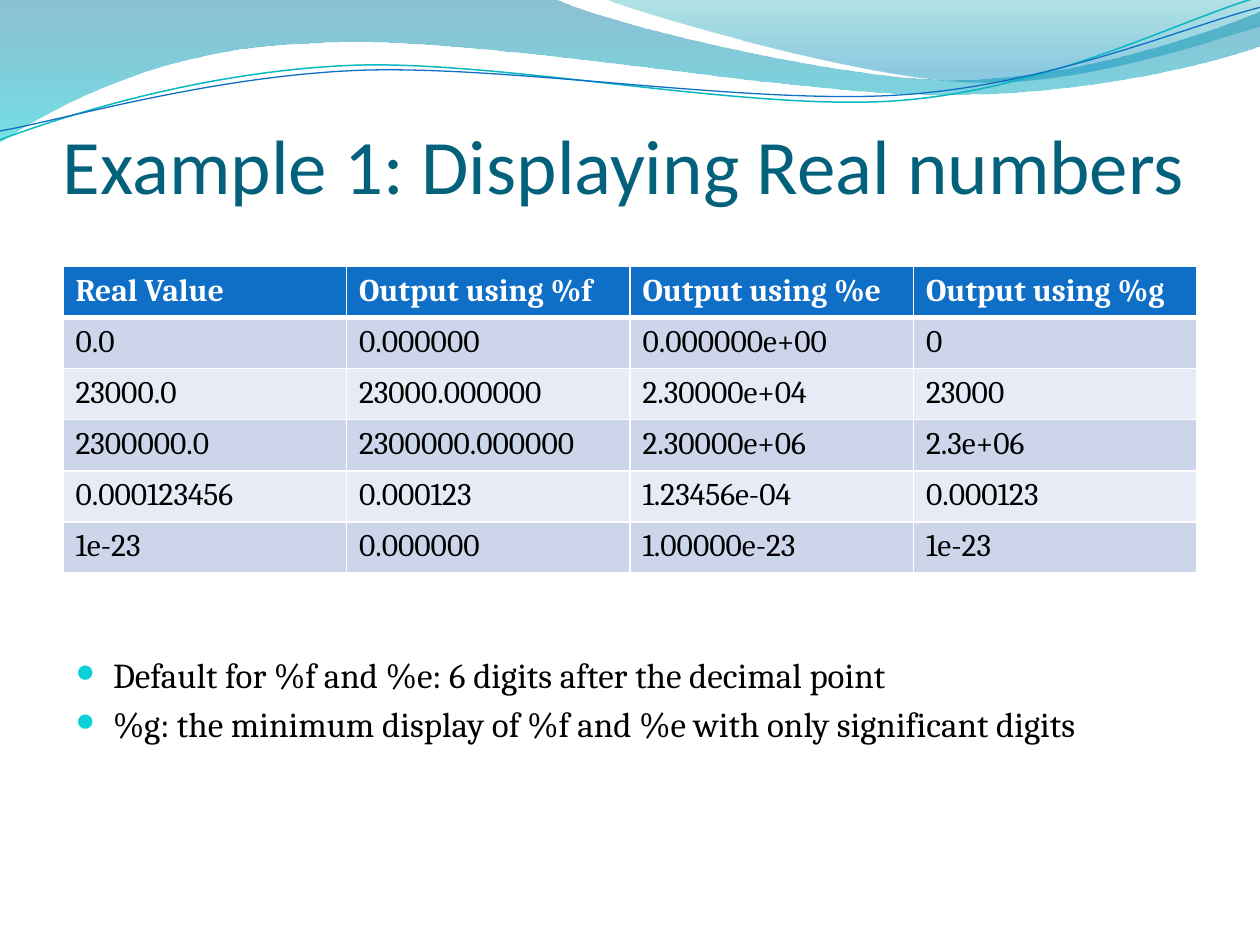
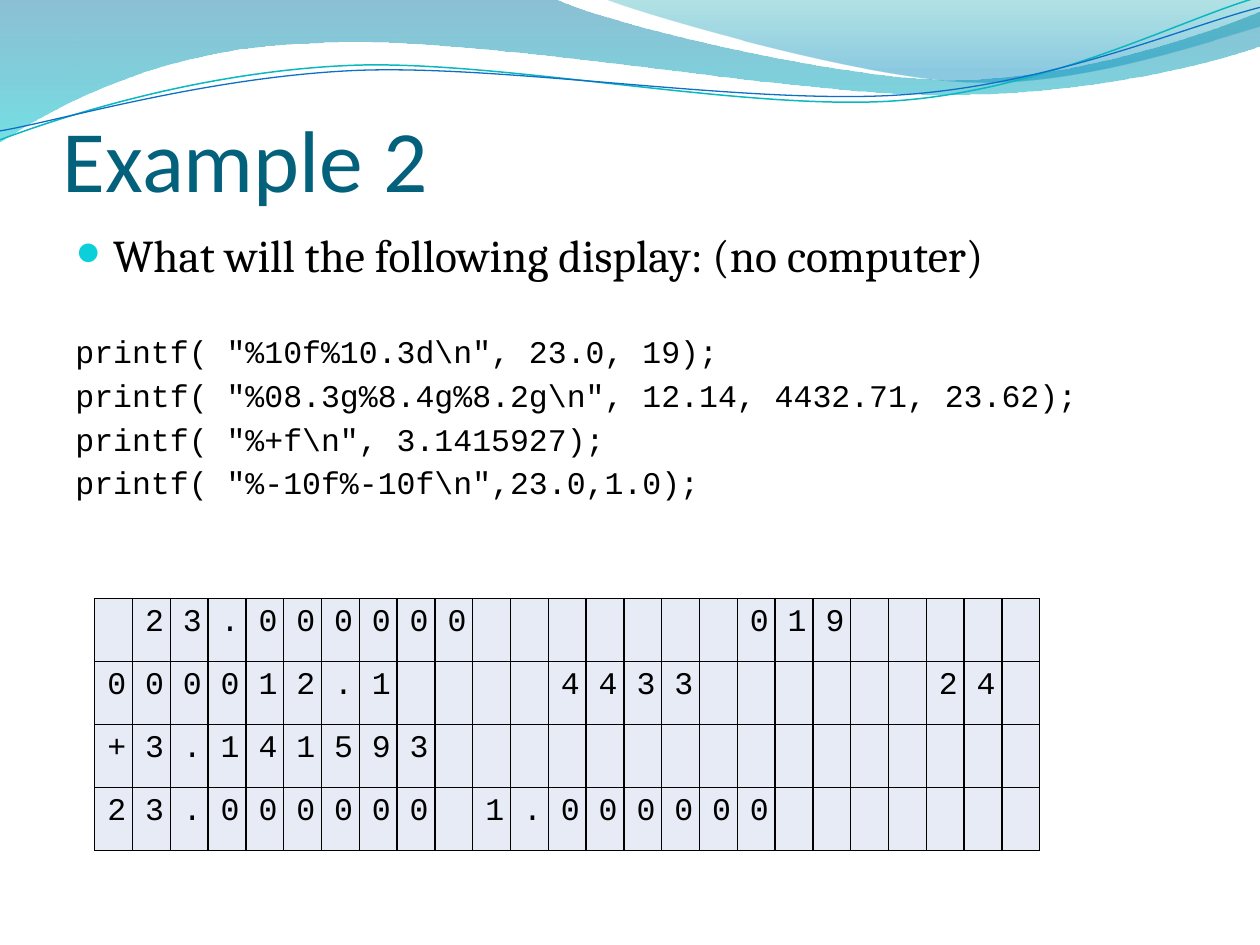
import pptx
import pptx.dml.color
import pptx.enum.text
import pptx.oxml
import pptx.oxml.ns
import pptx.util
from lxml import etree

Cm, Pt = pptx.util.Cm, pptx.util.Pt
RGBColor = pptx.dml.color.RGBColor
qn = pptx.oxml.ns.qn

WHITE = RGBColor(0xFF, 0xFF, 0xFF)
BLACK = RGBColor(0, 0, 0)
TITLE_TEAL = RGBColor(0x04, 0x61, 0x7B)
BLUE = RGBColor(0x0F, 0x6F, 0xC6)
BULLET_CYAN = RGBColor(0x0B, 0xD0, 0xD9)
LINE_TEAL = RGBColor(0x0A, 0xB8, 0xBF)
BAND_DARK = RGBColor(0xCC, 0xD5, 0xEA)
BAND_LIGHT = RGBColor(0xE7, 0xEB, 0xF5)
HEADING, BODY, CODE = "Calibri", "Cambria", "Courier New"

# ---- Content ----
REAL_TITLE = "Example 1: Displaying Real numbers"
REAL_OUTPUT = [
    ("Real Value", "Output using %f", "Output using %e", "Output using %g"),
    ("0.0", "0.000000", "0.000000e+00", "0"),
    ("23000.0", "23000.000000", "2.30000e+04", "23000"),
    ("2300000.0", "2300000.000000", "2.30000e+06", "2.3e+06"),
    ("0.000123456", "0.000123", "1.23456e-04", "0.000123"),
    ("1e-23", "0.000000", "1.00000e-23", "1e-23"),
]
REAL_NOTES = [
    "Default for %f and %e: 6 digits after the decimal point",
    "%g: the minimum display of %f and %e with only significant digits",
]

QUIZ_TITLE = "Example 2"
QUIZ_QUESTION = "What will the following display: (no computer)"
QUIZ_CODE = [
    r'printf( "%10f%10.3d\n", 23.0, 19);',
    r'printf( "%08.3g%8.4g%8.2g\n", 12.14, 4432.71, 23.62);',
    r'printf( "%+f\n", 3.1415927);',
    r'printf( "%-10f%-10f\n",23.0,1.0);',
]
# Each printed line: the first column of each number, and the number.
QUIZ_OUTPUT = [
    {1: "23.000000", 17: "019"},
    {0: "000012.1", 12: "4433", 22: "24"},
    {0: "+3.141593"},
    {0: "23.000000", 10: "1.000000"},
]
QUIZ_COLUMNS = 25

# Outlines in cm: a pair is a corner, six numbers are a Bézier curve.
WAVES = [
    ([(0, 0), (11.18, -0.03), (12.09, 0.43, 16.87, 1.6, 19.25, 1.6),
      (21.67, 1.6, 24.33, 0.66, 25.4, 0.23), (25.43, 0.91),
      (24.97, 1.12, 22.1, 1.93, 18.95, 1.91),
      (15.8, 1.91, 9.7, 0.71, 6.53, 0.86),
      (3.28, 0.91, 1.17, 2.11, -0.03, 2.87), (0, 0)],
     [(0, RGBColor(0x00, 0x74, 0xA1), 45), (1, RGBColor(0x00, 0xC6, 0xCF), 55)]),
    ([(12.17, -0.03), (12.93, 0.28, 17.32, 1.57, 19.53, 1.65),
      (21.74, 1.75, 24.41, 0.81, 25.4, 0.53), (25.4, 0), (12.17, -0.03)],
     [(0, RGBColor(0x00, 0xA1, 0xA9), 30), (0.8, RGBColor(0x00, 0x8B, 0xBF), 45)]),
]
STRANDS = [
    ([(0, 2.82), (1.22, 2.36, 4.01, 1.45, 7.04, 1.32),
      (10.03, 1.19, 15.06, 2.26, 18.11, 2.03),
      (21.16, 1.8, 23.83, 0.38, 25.35, -0.05)], LINE_TEAL, 0.85),
    ([(0, 2.64), (1.19, 2.44, 4.17, 1.55, 7.19, 1.42),
      (10.24, 1.3, 15.16, 2.13, 18.21, 1.91),
      (21.23, 1.7, 23.9, 0.53, 25.4, 0.15)], BLUE, 0.75),
]


def add_outline(slide, outline, close):
    """Draw straight segments through all points, then bend those of each curve."""
    start, *points = [(Cm(part[i]), Cm(part[i + 1]))
                      for part in outline for i in range(0, len(part), 2)]
    builder = slide.shapes.build_freeform(*start)
    builder.add_line_segments(points, close=close)
    shape = builder.convert_to_shape()
    shape.shadow.inherit = False
    segments = iter(list(shape._element.iter(qn("a:lnTo"))))
    for part in outline[1:]:
        segment = next(segments)
        if len(part) == 6:
            segment.addprevious(etree.Element(qn("a:cubicBezTo")))
            curve = segment.getprevious()
            for straight in (segment, next(segments), next(segments)):
                curve.append(straight[0])
                straight.getparent().remove(straight)
    return shape


def add_header_waves(slide):
    for outline, stops in WAVES:
        wave = add_outline(slide, outline, True)
        wave.line.fill.background()
        wave.fill.gradient()
        wave.fill.gradient_angle = 270
        for stop, (position, color, _) in zip(wave.fill.gradient_stops, stops):
            stop.position = position
            stop.color.rgb = color
        gradient = wave._element.spPr.find(qn("a:gradFill"))
        for srgb, (_, _, opacity) in zip(gradient.iter(qn("a:srgbClr")), stops):
            etree.SubElement(srgb, qn("a:alpha"), val=str(opacity * 1000))
    for outline, color, width in STRANDS:
        strand = add_outline(slide, outline, False)
        strand.fill.background()
        strand.line.color.rgb = color
        strand.line.width = Pt(width)


def style(paragraph, font_name, size, color=BLACK, bold=False):
    for run in paragraph.runs:
        run.font.name = font_name
        run.font.size = Pt(size)
        run.font.color.rgb = color
        run.font.bold = bold


def add_text_box(slide, left, top, width, height):
    frame = slide.shapes.add_textbox(Cm(left), Cm(top), Cm(width), Cm(height)).text_frame
    frame.word_wrap = True
    return frame


def add_slide(deck, title, title_size):
    slide = deck.slides.add_slide(deck.slide_layouts[6])
    add_header_waves(slide)
    frame = add_text_box(slide, 1.27, 1.05, 22.86, 3.18)
    frame.margin_left = frame.margin_right = frame.margin_bottom = 0
    frame.vertical_anchor = pptx.enum.text.MSO_ANCHOR.BOTTOM
    frame.text = title
    style(frame.paragraphs[0], HEADING, title_size, TITLE_TEAL)
    return slide


def add_bullet(paragraph):
    properties = paragraph._p.get_or_add_pPr()
    properties.set("marL", str(Cm(0.76)))
    properties.set("indent", str(-Cm(0.76)))
    color = etree.SubElement(properties, qn("a:buClr"))
    etree.SubElement(color, qn("a:srgbClr"), val=str(BULLET_CYAN))
    etree.SubElement(properties, qn("a:buSzPct"), val="95000")
    etree.SubElement(properties, qn("a:buFont"), typeface=CODE)
    etree.SubElement(properties, qn("a:buChar"), char="●")


def set_borders(cell, color, top=1, bottom=1):
    properties = cell._tc.get_or_add_tcPr()
    for side, width in (("L", 1), ("R", 1), ("T", top), ("B", bottom)):
        line = etree.SubElement(properties, qn("a:ln" + side), w=str(Pt(width)))
        fill = etree.SubElement(line, qn("a:solidFill"))
        etree.SubElement(fill, qn("a:srgbClr"), val=str(color))


def add_grid(slide, rows, columns, left, top, width, height):
    table = slide.shapes.add_table(rows, columns, Cm(left), Cm(top),
                                   Cm(width), Cm(height)).table
    table.first_row = table.horz_banding = False
    return table


def fill_cell(cell, text, color):
    cell.fill.solid()
    cell.fill.fore_color.rgb = color
    if text:
        cell.text = text
    return cell.text_frame.paragraphs[0]


def build_real_numbers(deck):
    slide = add_slide(deck, REAL_TITLE, 44)
    table = add_grid(slide, len(REAL_OUTPUT), len(REAL_OUTPUT[0]),
                     1.27, 5.37, 22.86, 6.18)
    for r, values in enumerate(REAL_OUTPUT):
        header = r == 0
        band = BLUE if header else BAND_DARK if r % 2 else BAND_LIGHT
        for c, value in enumerate(values):
            cell = table.cell(r, c)
            set_borders(cell, WHITE, top=3 if r == 1 else 1, bottom=3 if header else 1)
            style(fill_cell(cell, value, band), BODY, 18,
                  WHITE if header else BLACK, header)

    frame = add_text_box(slide, 1.27, 13.04, 24.13, 4.44)
    frame.text = "\n".join(REAL_NOTES)
    for i, note in enumerate(frame.paragraphs):
        add_bullet(note)
        note.space_before = Pt(4 if i else 0)
        style(note, BODY, 20)


def build_quiz(deck):
    slide = add_slide(deck, QUIZ_TITLE, 50)
    frame = add_text_box(slide, 1.27, 4.45, 22.86, 6.35)
    frame.text = "\n".join([QUIZ_QUESTION] + QUIZ_CODE)
    question, *statements = frame.paragraphs
    add_bullet(question)
    style(question, BODY, 26)
    for i, statement in enumerate(statements):
        statement.space_before = Pt(3.4 if i else 29)
        style(statement, CODE, 18)

    table = add_grid(slide, len(QUIZ_OUTPUT), QUIZ_COLUMNS, 1.91, 12.07, 19.05, 5.08)
    for r, numbers in enumerate(QUIZ_OUTPUT):
        symbols = {start + i: symbol for start, number in numbers.items()
                   for i, symbol in enumerate(number)}
        for c in range(QUIZ_COLUMNS):
            cell = table.cell(r, c)
            set_borders(cell, BLACK)
            style(fill_cell(cell, symbols.get(c, ""), BAND_LIGHT), CODE, 18)


def main():
    deck = pptx.Presentation()
    deck.slide_width, deck.slide_height = Cm(25.4), Cm(19.05)
    build_real_numbers(deck)
    build_quiz(deck)
    deck.save("out.pptx")


if __name__ == "__main__":
    main()
